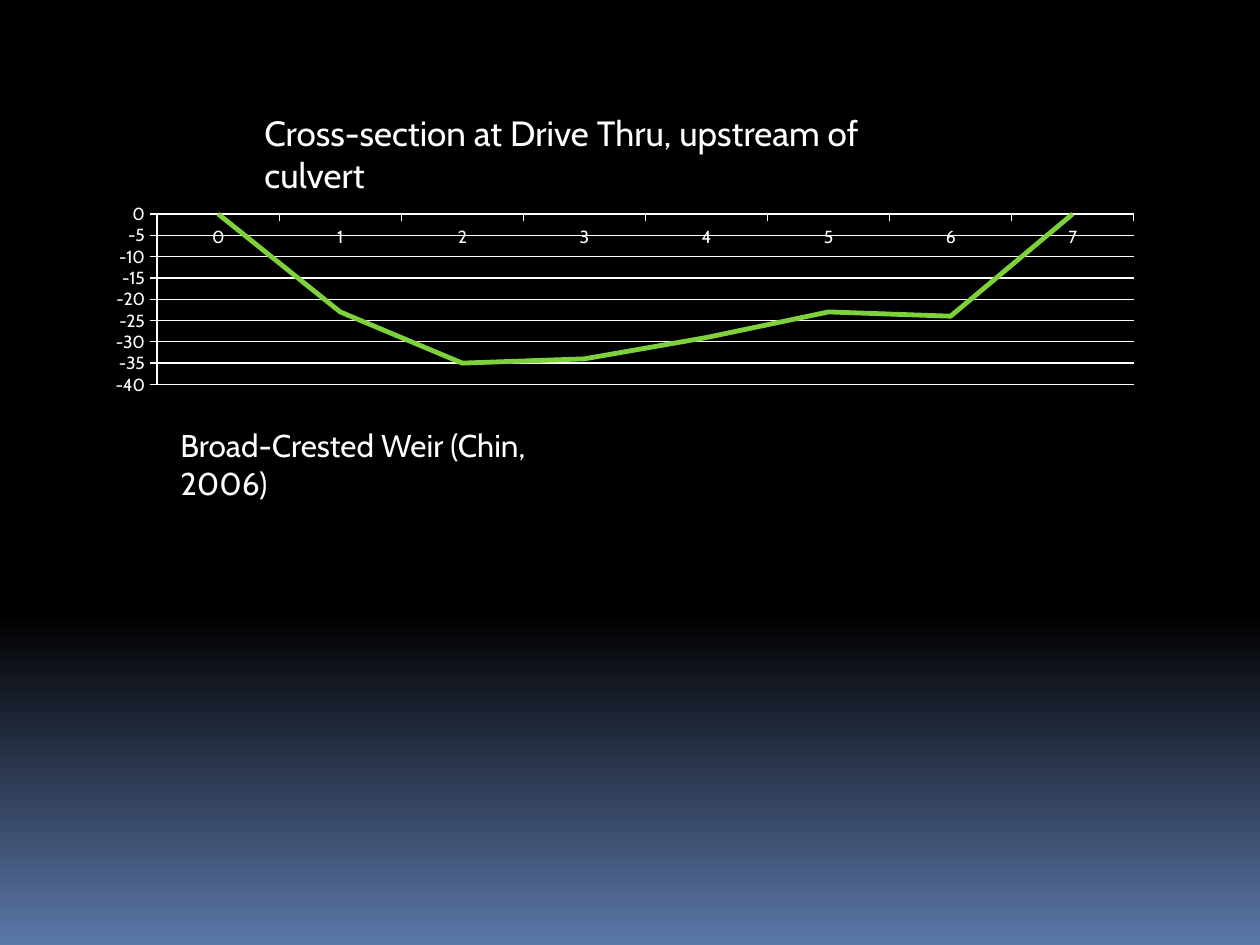
from pptx import Presentation
from pptx.chart.data import CategoryChartData as ChartData
from pptx.dml.color import RGBColor
from pptx.enum.chart import XL_CHART_TYPE as ChartType, XL_TICK_MARK as TickMark
from pptx.enum.text import MSO_AUTO_SIZE as AutoSize
from pptx.util import Inches, Pt

BLACK = RGBColor(0x00, 0x00, 0x00)
WHITE = RGBColor(0xFF, 0xFF, 0xFF)
BLUE = RGBColor(0x5B, 0x77, 0xA8)
GREEN = RGBColor(0x7F, 0xD1, 0x3B)

DEPTHS = [0, -23, -35, -34, -29, -23, -24, 0]


class SlideBuilder:
    """Holds the style and the slide; lengths are on a 120 by 90 grid."""

    font_name = "Cabin"
    columns, rows = 120, 90

    def __init__(self, presentation):
        self.column = presentation.slide_width / self.columns
        self.row = presentation.slide_height / self.rows
        self.slide = presentation.slides.add_slide(presentation.slide_layouts[6])

    def place(self, left, top, width, height):
        return (round(left * self.column), round(top * self.row),
                round(width * self.column), round(height * self.row))

    def style_font(self, font, size):
        font.name = self.font_name
        font.size = Pt(size)
        font.color.rgb = WHITE

    def style_line(self, line, color, width):
        line.color.rgb = color
        line.width = Pt(width)

    def background(self, stops):
        fill = self.slide.background.fill
        fill.gradient()
        fill.gradient_angle = 270
        for stop, (position, color) in zip(fill.gradient_stops, stops):
            stop.position = position
            stop.color.rgb = color

    def text(self, words, size, *box):
        shape = self.slide.shapes.add_textbox(*self.place(*box))
        frame = shape.text_frame
        frame.text = words
        frame.word_wrap = True
        frame.auto_size = AutoSize.SHAPE_TO_FIT_TEXT
        self.style_font(frame.paragraphs[0].runs[0].font, size)

    def line_chart(self, values, *box):
        data = ChartData()
        data.categories = [str(index) for index in range(len(values))]
        data.add_series("Series 1", values)
        chart = self.slide.shapes.add_chart(
            ChartType.LINE, *self.place(*box), data).chart
        chart.has_legend = False
        chart.has_title = False
        self.style_font(chart.font, 10)

        # Axes and gridlines
        for axis in (chart.category_axis, chart.value_axis):
            axis.major_tick_mark = TickMark.OUTSIDE
            axis.minor_tick_mark = TickMark.NONE
            self.style_line(axis.format.line, WHITE, 0.75)
        depth_axis = chart.value_axis
        depth_axis.minimum_scale, depth_axis.maximum_scale = -40, 0
        depth_axis.major_unit = 5
        depth_axis.has_major_gridlines = True
        self.style_line(depth_axis.major_gridlines.format.line, WHITE, 0.75)

        # Channel profile
        plot = chart.plots[0]
        plot.vary_by_categories = False
        profile = plot.series[0]
        profile.smooth = False
        self.style_line(profile.format.line, GREEN, 2.75)


def main():
    presentation = Presentation()
    presentation.slide_width, presentation.slide_height = Inches(10), Inches(7.5)
    builder = SlideBuilder(presentation)
    builder.background([(0.65, BLACK), (1, BLUE)])
    builder.line_chart(DEPTHS, 9, 19, 101, 19)
    builder.text("Cross-section at Drive Thru, upstream of culvert", 20,
                 24, 10, 68.4, 5.25)
    builder.text("Broad-Crested Weir (Chin, 2006)", 18, 16, 40, 42.5, 8.5)
    presentation.save("out.pptx")


if __name__ == "__main__":
    main()
